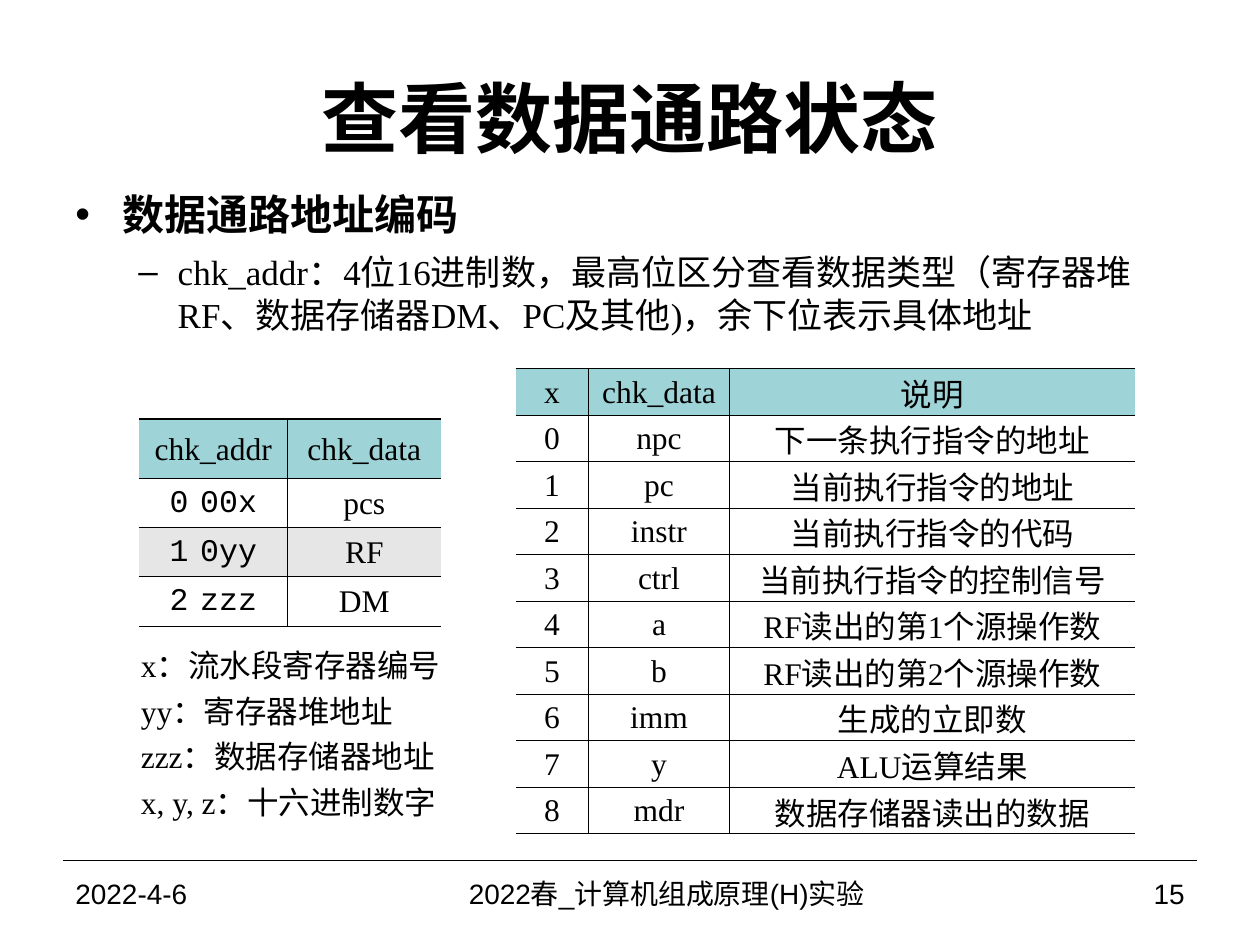
from lxml import etree
from pptx import Presentation
from pptx.dml.color import RGBColor
from pptx.enum.shapes import MSO_CONNECTOR
from pptx.enum.text import MSO_ANCHOR, PP_ALIGN
from pptx.oxml.ns import qn
from pptx.util import Pt

BLACK = RGBColor(0x00, 0x00, 0x00)
WHITE = RGBColor(0xFF, 0xFF, 0xFF)
TEAL = RGBColor(0x9E, 0xD3, 0xD7)
GRAY = RGBColor(0xE6, 0xE6, 0xE6)
LEFT, CENTER, RIGHT = PP_ALIGN.LEFT, PP_ALIGN.CENTER, PP_ALIGN.RIGHT
TOP, MIDDLE = MSO_ANCHOR.TOP, MSO_ANCHOR.MIDDLE
STRAIGHT = MSO_CONNECTOR.STRAIGHT
SERIF, SANS, MONO, HAN = "Times New Roman", "Arial", "Courier New", "Noto Sans CJK SC"


class Deck:
    """Holds the text style and the current slide."""

    def __init__(self, deck):
        self.slide = deck.slides.add_slide(deck.slide_layouts[5])
        self.shapes = self.slide.shapes

    def style(self, run, size, face=SERIF, bold=False):
        font = run.font
        font.size, font.name, font.bold = Pt(size), face, bold
        font.color.rgb = BLACK
        latin = run._r.rPr.find(qn("a:latin"))
        east = etree.Element(qn("a:ea"), typeface=HAN)
        latin.addnext(east)

    def fill(self, shape, lines, size, face=SERIF, align=LEFT, anchor=MIDDLE, bold=False):
        frame = shape.text_frame
        frame.text = "\n".join(lines)
        frame.word_wrap = True
        frame.vertical_anchor = anchor
        for para in frame.paragraphs:
            para.alignment = align
            for run in para.runs:
                self.style(run, size, face, bold)
        return frame.paragraphs

    def title(self, text, box):
        shape = self.shapes.title
        shape.left, shape.top, shape.width, shape.height = map(Pt, box)
        paras = self.fill(shape, [text], 44, SANS, CENTER, bold=True)
        paras[0].space_before = Pt(12)

    def text(self, lines, box, size, **look):
        return self.fill(self.shapes.add_textbox(*map(Pt, box)), lines, size, **look)

    def bullet(self, para, mark, left, hang, level):
        para.level = level
        para.space_before, para.line_spacing = Pt(6), Pt(24.5)
        props = para._p.get_or_add_pPr()
        props.set("marL", str(Pt(left)))
        props.set("indent", str(Pt(-hang)))
        etree.SubElement(props, qn("a:buFont"), typeface=SANS)
        etree.SubElement(props, qn("a:buChar"), char=mark)

    def line(self, left, top, right):
        rule = self.shapes.add_connector(STRAIGHT, Pt(left), Pt(top), Pt(right), Pt(top))
        rule.line.color.rgb, rule.line.width = BLACK, Pt(0.75)
        etree.SubElement(rule._element.spPr, qn("a:effectLst"))

    def border(self, cell, widths):
        props = cell._tc.get_or_add_tcPr()
        for index, (side, width) in enumerate(zip("LRTB", widths)):
            edge = etree.Element(qn("a:ln" + side), w=str(Pt(width)))
            if width:
                paint = etree.SubElement(edge, qn("a:solidFill"))
                etree.SubElement(paint, qn("a:srgbClr"), val=str(BLACK))
            else:
                etree.SubElement(edge, qn("a:noFill"))
            props.insert(index, edge)

    def table(self, left, top, cols, rows, data, rules, post, fills):
        frame = self.shapes.add_table(len(rows), len(cols), Pt(left), Pt(top),
                                      Pt(sum(cols)), Pt(sum(rows)))
        grid = frame.table
        grid.first_row = grid.horz_banding = False
        for col, width in zip(grid.columns, cols):
            col.width = Pt(width)
        for r, (height, words) in enumerate(zip(rows, data)):
            grid.rows[r].height = Pt(height)
            for c, word in enumerate(words):
                cell = grid.cell(r, c)
                cell.margin_left = cell.margin_right = cell.margin_top = Pt(0.75)
                cell.margin_bottom = 0
                cell.vertical_anchor = MIDDLE
                self.fill(cell, [word], 18, align=CENTER)
                cell.vertical_anchor = MIDDLE
                cell.fill.solid()
                cell.fill.fore_color.rgb = fills.get(r, WHITE)
                self.border(cell, (post if c else 0, post if c < len(cols) - 1 else 0,
                                   rules[r], rules[r + 1]))
        return grid

    def code(self, cell, parts):
        para = cell.text_frame.paragraphs[0]
        para.text = ""
        for part in parts:
            run = para.add_run()
            run.text = part
            self.style(run, 18 if part.strip() else 11, MONO)


deck = Presentation()
deck.slide_width, deck.slide_height = Pt(720), Pt(540)
page = Deck(deck)
page.title("查看数据通路状态", (36, 21.6, 648, 90))

page.line(36, 491.8, 684)
FOOT = [("2022-4-6", 36, 168, LEFT), ("2022春_计算机组成原理(H)实验", 204, 354, CENTER),
        ("15", 558, 126, RIGHT)]
for words, left, width, align in FOOT:
    page.text([words], (left, 491.8, width, 37.4), 16, face=SANS, align=align)

CODES = [("0", "00x", "pcs"), ("1", "0yy", "RF"), ("2", "zzz", "DM")]
addr = page.table(79.4, 239.5, [85, 87.6], [34, 28, 28, 28.5],
                  [("chk_addr", "chk_data")] + [("", kind) for _, _, kind in CODES],
                  [1, 1, 0.5, 0.5, 1], 0.5, {0: TEAL, 2: GRAY})
for row, (head, rest, _) in enumerate(CODES, 1):
    page.code(addr.cell(row, 0), (head, " ", rest))

for para in page.text(["x：流水段寄存器编号", "yy：寄存器堆地址", "zzz：数据存储器地址",
                       "x, y, z：十六进制数字"], (73.4, 360, 193, 113.8), 18):
    para.line_spacing = Pt(26)

NAMES = [("npc", "下一条执行指令的地址"), ("pc", "当前执行指令的地址"),
         ("instr", "当前执行指令的代码"), ("ctrl", "当前执行指令的控制信号"),
         ("a", "RF读出的第1个源操作数"), ("b", "RF读出的第2个源操作数"),
         ("imm", "生成的立即数"), ("y", "ALU运算结果"), ("mdr", "数据存储器读出的数据")]
page.table(294.7, 210.5, [41.6, 80.6, 231.8], [26.6] * 10,
           [("x", "chk_data", "说明")] + [(str(i), *pair) for i, pair in enumerate(NAMES)],
           [0.5] * 10 + [1], 0.5, {0: TEAL})

main, sub = page.text(
    ["数据通路地址编码",
     "chk_addr：4位16进制数，最高位区分查看数据类型（寄存器堆RF、数据存储器DM、PC及其他)，余下位表示具体地址"],
    (36, 108.7, 638.6, 99.4), 20, anchor=TOP)
main.runs[0].font.size, main.runs[0].font.bold = Pt(24), True
page.bullet(main, "•", 27, 27, 0)
page.bullet(sub, "–", 58.5, 22.5, 1)

deck.save("out.pptx")
